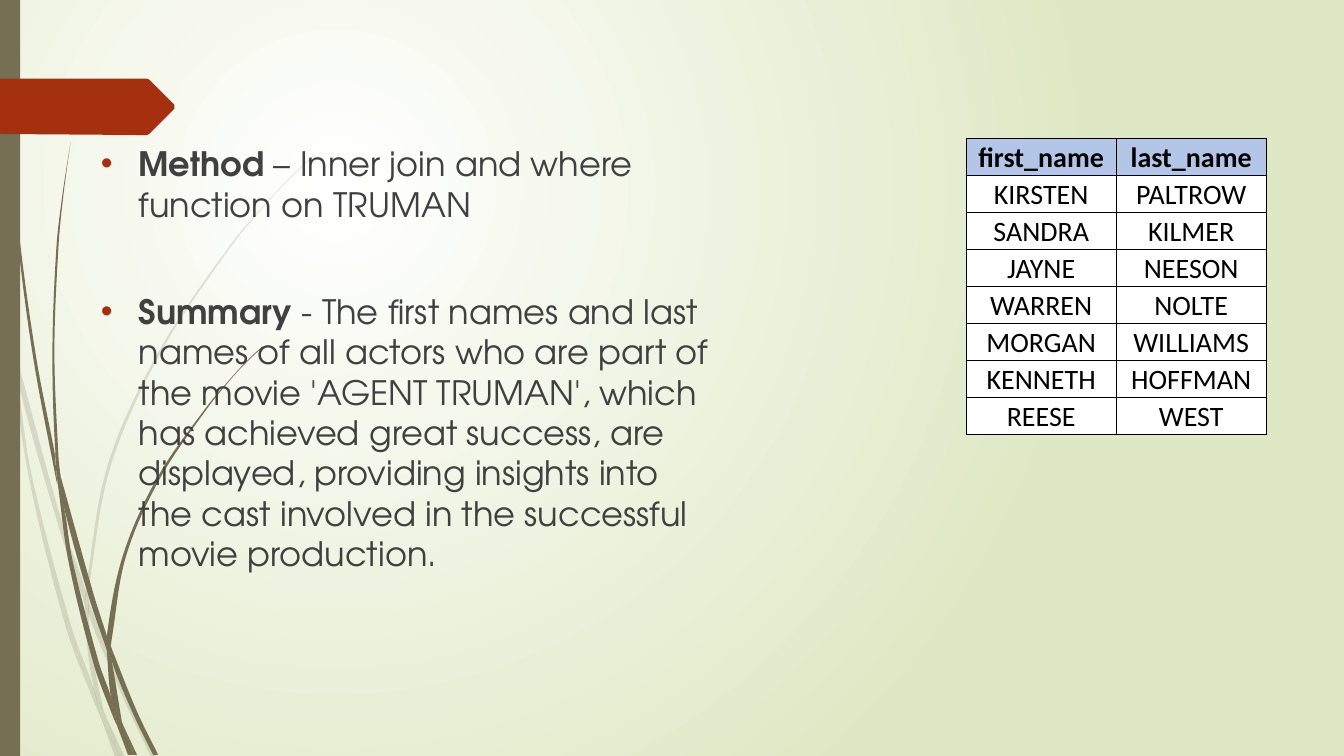
import math

import lxml.etree
import pptx
import pptx.dml.color
import pptx.enum.shapes
import pptx.enum.text
import pptx.oxml.ns
import pptx.util

Cm = pptx.util.Cm
Pt = pptx.util.Pt
qn = pptx.oxml.ns.qn
GRID = Cm(2.54)

COLORS = {
    "white": "FFFFFF",
    "lime": "DFE8C4",
    "olive": "766F54",
    "rust": "A53010",
    "text": "404040",
    "black": "000000",
    "header": "B4C6E7",
}
BODY_FONT = {"name": "TeX Gyre Adventor", "size": Pt(24)}
TABLE_FONT = {"name": "Calibri", "size": Pt(20)}
CELL_FORMAT = {
    "margin_left": Cm(0.05),
    "margin_right": Cm(0.05),
    "margin_top": Cm(0.05),
    "margin_bottom": Cm(0),
    "vertical_anchor": pptx.enum.text.MSO_ANCHOR.BOTTOM,
}
BODY_PLACE = {"left": Cm(2.29), "top": Cm(3.48), "width": Cm(15.85), "height": Cm(12.09)}

PALE_BLADES = [
    [(0.11, 3.5), (0.09, 3.22), (0, 2.82), (0, 2.99), (0.1, 3.44)],
    [(0.58, 5.22), (0.84, 5.99), (0.85, 5.86), (0.62, 5.2), (0.14, 3.45), (0.17, 3.76)],
    [(0.92, 6.07), (0.88, 5.96), (0.88, 6.1), (1.23, 6.94), (1.5, 7.51), (1.55, 7.51),
     (1.27, 6.92)],
    [(1.19, 7.51), (1.24, 7.51), (1.05, 7.11)],
    [(0.93, 6.83), (0.7, 6.19), (0.31, 4.69), (0.17, 3.76), (0.11, 3.5), (0.28, 4.7),
     (0.65, 6.21), (0.92, 6.93), (1.01, 7.14), (0.99, 7.07)],
    [(0.84, 5.99), (0.87, 6.46), (0.93, 6.83), (0.96, 6.92), (1.05, 7.11), (1.03, 7.06),
     (0.91, 6.46), (0.88, 6.1), (0.88, 6.08)],
    [(0.88, 5.84), (1.1, 4.62), (1.6, 3.49), (2.29, 2.45), (2.68, 1.98), (2.9, 1.75),
     (3.12, 1.54), (3.12, 1.53), (2.89, 1.75), (2.68, 1.97), (2.28, 2.44), (1.58, 3.48),
     (1.07, 4.61), (0.85, 5.84), (0.85, 5.86), (0.88, 5.96)],
    [(1.01, 7.14), (1.14, 7.51), (1.19, 7.51)],
    [(0.88, 6.08), (0.88, 6.1), (0.88, 5.96), (0.85, 5.86), (0.84, 5.99)],
    [(0.96, 6.92), (0.93, 6.83), (0.99, 7.07), (1.01, 7.14), (1.19, 7.51), (1.05, 7.11)],
]
DARK_BLADES = [
    [(0.07, 1.1), (0.17, 2.33), (0.33, 3.55), (0.56, 4.77), (0.57, 4.81), (0.55, 4.57),
     (0.55, 4.53), (0.36, 3.55), (0.19, 2.32), (0.08, 1.09), (0.05, 0.48), (0.04, 0),
     (0.03, 0), (0.04, 0.48)],
    [(0.88, 5.92), (1.06, 6.45), (1.06, 6.33), (1.06, 6.31), (0.93, 5.9), (0.6, 4.72),
     (0.64, 5.05)],
    [(1.13, 6.49), (1.1, 6.41), (1.11, 6.56), (1.32, 7.08), (1.52, 7.49), (1.57, 7.49),
     (1.36, 7.06)],
    [(1.1, 6.91), (0.98, 6.57), (0.72, 5.56), (0.64, 5.05), (0.57, 4.77), (0.68, 5.57),
     (0.93, 6.59), (1.11, 7.08), (1.17, 7.22), (1.16, 7.17)],
    [(0.6, 4.72), (0.58, 4.53), (0.54, 3.49), (0.58, 2.45), (0.63, 1.93), (0.7, 1.41),
     (0.62, 1.93), (0.56, 2.45), (0.52, 3.49), (0.55, 4.49)],
    [(1.33, 7.49), (1.36, 7.49), (1.22, 7.19)],
    [(0.57, 4.77), (0.64, 5.05), (0.6, 4.72), (0.55, 4.49), (0.55, 4.53)],
    [(1.11, 6.33), (1.25, 5.52), (1.58, 4.76), (2.05, 4.06), (2.31, 3.74), (2.45, 3.59),
     (2.61, 3.44), (2.6, 3.44), (2.45, 3.58), (2.31, 3.73), (2.04, 4.05), (1.56, 4.74),
     (1.22, 5.51), (1.06, 6.31), (1.1, 6.41)],
    [(1.17, 7.22), (1.27, 7.49), (1.31, 7.49)],
    [(1.06, 6.45), (1.1, 6.91), (1.16, 7.06), (1.22, 7.19), (1.21, 7.16), (1.11, 6.56),
     (1.09, 6.51)],
    [(1.06, 6.45), (1.09, 6.51), (1.11, 6.56), (1.1, 6.41), (1.06, 6.31), (1.06, 6.33)],
    [(1.16, 7.06), (1.1, 6.91), (1.16, 7.17), (1.17, 7.22), (1.3, 7.49), (1.33, 7.49),
     (1.22, 7.19)],
]
ARROW = [(1.73, 1.08), (1.48, 1.33), (1.46, 1.34), (1.36, 1.34), (0, 1.33), (0, 0.78),
         (1.36, 0.78), (1.46, 0.78), (1.48, 0.79), (1.73, 1.04)]
POINTS = [
    ("Method", " – Inner join and where function on TRUMAN", Pt(10)),
    ("Summary", " - The first names and last names of all actors who are part of the movie "
     "'AGENT TRUMAN', which has achieved great success, are displayed, providing insights "
     "into the cast involved in the successful movie production.", Pt(48)),
]
ACTORS = [("first_name", "last_name"), ("KIRSTEN", "PALTROW"), ("SANDRA", "KILMER"),
          ("JAYNE", "NEESON"), ("WARREN", "NOLTE"), ("MORGAN", "WILLIAMS"),
          ("KENNETH", "HOFFMAN"), ("REESE", "WEST")]


def color(name):
    return pptx.dml.color.RGBColor.from_string(COLORS[name])


def apply(target, values):
    for name, value in values.items():
        setattr(target, name, value)


def add_xml(parent, tag, **attributes):
    return lxml.etree.SubElement(parent, qn(tag), attributes)


def paint(shape, fill):
    shape.shadow.inherit = False
    shape.fill.solid()
    shape.fill.fore_color.rgb = color(fill)
    shape.line.fill.background()


def set_background(slide):
    fill = slide.background.fill
    fill.gradient()
    for stop, name in zip(fill.gradient_stops, ("white", "lime")):
        stop.color.rgb = color(name)
    gradient = slide._element.find(".//" + qn("a:gradFill"))
    gradient.remove(gradient.find(qn("a:lin")))
    circle = add_xml(gradient, "a:path", path="circle")
    add_xml(circle, "a:fillToRect", l="50000", t="50000", r="100000", b="100000")


def heading(start, end):
    return math.atan2(end[1] - start[1], end[0] - start[0])


def handle(before, point, neighbour, sign):
    arriving, leaving = heading(before[0], point), heading(point, before[1])
    is_corner = math.cos(leaving - arriving) < 0.5
    angle = heading(point, neighbour) if is_corner else heading(*before)
    reach = math.dist(point, neighbour) / 3 * (1 if is_corner else sign)
    return point[0] + reach * math.cos(angle), point[1] + reach * math.sin(angle)


def curve_points(anchors):
    points = []
    for index, start in enumerate(anchors):
        before = anchors[index - 1]
        end, after = (anchors[(index + step) % len(anchors)] for step in (1, 2))
        points += [handle((before, end), start, end, 1),
                   handle((start, after), end, start, -1), end]
    return points


def add_outline(shapes, start, points, fill):
    builder = shapes.build_freeform(start[0] * GRID, start[1] * GRID)
    builder.add_line_segments([(x * GRID, y * GRID) for x, y in points], close=True)
    outline = builder.convert_to_shape()
    paint(outline, fill)
    return outline


def add_blade(shapes, anchors, opacity):
    blade = add_outline(shapes, anchors[0], curve_points(anchors), "olive")
    segments = blade._element.findall(".//" + qn("a:lnTo"))
    for first in range(0, len(segments), 3):
        curve = lxml.etree.Element(qn("a:cubicBezTo"))
        segments[first].addprevious(curve)
        for segment in segments[first:first + 3]:
            curve.append(segment[0])
            segment.getparent().remove(segment)
    if opacity < 100:
        shade = blade._element.spPr.find(".//" + qn("a:srgbClr"))
        add_xml(shade, "a:alpha", val=str(opacity * 1000))


def add_run(paragraph, text, font, bold, fill):
    run = paragraph.add_run()
    run.text = text
    apply(run.font, {**font, "bold": bold})
    run.font.color.rgb = color(fill)


def fill_body(slide):
    body = slide.placeholders[1]
    apply(body, BODY_PLACE)
    frame = body.text_frame
    apply(frame, {"word_wrap": True, "auto_size": pptx.enum.text.MSO_AUTO_SIZE.NONE})
    for index, (label, text, gap) in enumerate(POINTS):
        paragraph = frame.add_paragraph() if index else frame.paragraphs[0]
        paragraph.space_before = gap
        properties = paragraph._p.get_or_add_pPr()
        properties.set("marL", str(Cm(0.95)))
        properties.set("indent", str(-Cm(0.95)))
        add_xml(add_xml(properties, "a:buClr"), "a:srgbClr", val=COLORS["rust"])
        add_xml(properties, "a:buFont", typeface="Arial")
        add_xml(properties, "a:buChar", char="•")
        add_run(paragraph, label, BODY_FONT, True, "text")
        add_run(paragraph, text, BODY_FONT, False, "text")
    slide.shapes._spTree.append(body._element)


def add_actor_table(slide):
    frame = slide.shapes.add_table(len(ACTORS), 2, Cm(24.35), Cm(3.48), Cm(7.56), Cm(7.47))
    for row_index, names in enumerate(ACTORS):
        header = row_index == 0
        for column_index, name in enumerate(names):
            cell = frame.table.cell(row_index, column_index)
            apply(cell, CELL_FORMAT)
            for side in "LRTB":
                border = add_xml(cell._tc.tcPr, f"a:ln{side}", w=str(Pt(0.5)))
                add_xml(add_xml(border, "a:solidFill"), "a:srgbClr", val=COLORS["black"])
            cell.fill.solid()
            cell.fill.fore_color.rgb = color("header" if header else "white")
            paragraph = cell.text_frame.paragraphs[0]
            paragraph.alignment = pptx.enum.text.PP_ALIGN.CENTER
            add_run(paragraph, name, TABLE_FONT, header, "black")


def main():
    presentation = pptx.Presentation()
    apply(presentation, {"slide_width": Cm(33.87), "slide_height": Cm(19.05)})
    slide = presentation.slides.add_slide(presentation.slide_layouts[1])
    title = slide.shapes.title._element
    title.getparent().remove(title)
    set_background(slide)
    for blades, opacity in ((PALE_BLADES, 20), (DARK_BLADES, 100)):
        group = slide.shapes.add_group_shape()
        for anchors in blades:
            add_blade(group.shapes, anchors, opacity)
    bar = slide.shapes.add_shape(
        pptx.enum.shapes.MSO_SHAPE.RECTANGLE, Cm(0), Cm(0), Cm(0.51), Cm(19.05))
    paint(bar, "olive")
    add_outline(slide.shapes, ARROW[0], ARROW[1:], "rust")
    fill_body(slide)
    add_actor_table(slide)
    presentation.save("out.pptx")


if __name__ == "__main__":
    main()
